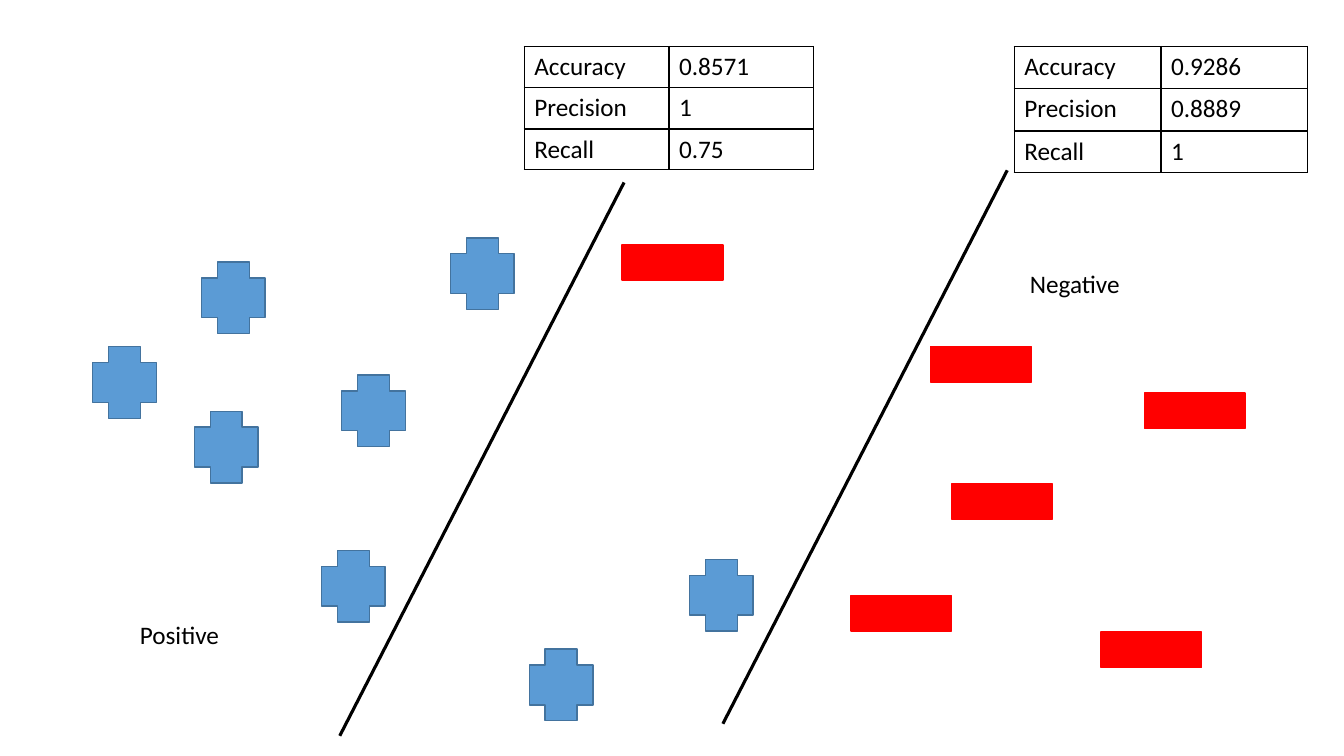
from lxml import etree
from pptx import Presentation
from pptx import util as u
from pptx.dml.color import RGBColor
from pptx.enum import shapes, text
from pptx.oxml import ns

PLUS_SIZE = (0.63, 0.71)
MINUS_SIZE = (1, 0.35)
LABEL_SIZE = (3, 0.4)
BOUNDARY_SIZE = (2.82, 5.49)
POSITIVES = [(2, 2.6), (6.84, 5.55), (3.19, 5.46), (3.39, 3.72),
             (1.93, 4.08), (0.92, 3.44), (4.47, 2.36), (5.25, 6.44)]
NEGATIVES = [(8.44, 5.91), (9.23, 3.44), (11.35, 3.9),
             (9.44, 4.8), (6.17, 2.43), (10.92, 6.27)]
BOUNDARIES = [(3.37, 1.81), (7.17, 1.69)]
LABELS = [("Positive", (0.28, 6.09)), ("Negative", (9.16, 2.61))]
METRICS = ("Accuracy", "Precision", "Recall")
SCORES = [
    (("0.9286", "0.8889", "1"), (10.06, 0.46, 2.91), (0.42, 0.42, 0.41)),
    (("0.8571", "1", "0.75"), (5.2, 0.46, 2.87), (0.41, 0.41, 0.39)),
]


def color(value):
    """Return the colour for a hex string."""
    return RGBColor.from_string(value)


def inches(*lengths):
    """Convert several lengths to inches."""
    return [u.Inches(length) for length in lengths]


def style_text(paragraph):
    """Apply the slide's text style."""
    paragraph.font.name = "Calibri"
    paragraph.font.size = u.Pt(18)
    paragraph.font.color.rgb = color("000000")


def add_markers(slide, preset, size, positions, fill, line):
    """Place one data point shape at each position."""
    for position in positions:
        shape = slide.shapes.add_shape(preset, *inches(*position, *size))
        shape.shadow.inherit = False
        shape.fill.solid()
        shape.fill.fore_color.rgb = color(fill)
        shape.line.color.rgb = color(line)
        shape.line.width = u.Pt(1)


def add_boundary(slide, left, top):
    """Draw a decision boundary rising across its box."""
    width, height = BOUNDARY_SIZE
    boundary = slide.shapes.add_connector(
        shapes.MSO_CONNECTOR.STRAIGHT,
        *inches(left, top + height, left + width, top))
    boundary.line.color.rgb = color("000000")
    boundary.line.width = u.Pt(2.25)
    etree.SubElement(boundary._element.spPr, ns.qn("a:effectLst"))


def add_label(slide, wording, position):
    """Add a centred class label."""
    label = slide.shapes.add_textbox(*inches(*position, *LABEL_SIZE))
    label.text_frame.word_wrap = True
    label.text_frame.auto_size = text.MSO_AUTO_SIZE.SHAPE_TO_FIT_TEXT
    paragraph = label.text_frame.paragraphs[0]
    paragraph.text = wording
    paragraph.alignment = text.PP_ALIGN.CENTER
    style_text(paragraph)


def add_borders(cell):
    """Draw thin black borders on all sides of a cell."""
    properties = cell._tc.get_or_add_tcPr()
    for side in ("lnL", "lnR", "lnT", "lnB"):
        border = etree.SubElement(properties, ns.qn(f"a:{side}"), w=str(u.Pt(1)))
        fill = etree.SubElement(border, ns.qn("a:solidFill"))
        etree.SubElement(fill, ns.qn("a:srgbClr"), val="000000")


def add_scores(slide, values, box, row_heights):
    """Add a table of metrics and their values."""
    left, top, width = box
    frame = slide.shapes.add_table(
        len(METRICS), 2, *inches(left, top, width, sum(row_heights)))
    table = frame.table
    table.first_row = False
    table.horz_banding = False
    for row, height, entries in zip(table.rows, row_heights, zip(METRICS, values)):
        row.height = u.Inches(height)
        for cell, entry in zip(row.cells, entries):
            add_borders(cell)
            cell.fill.solid()
            cell.fill.fore_color.rgb = color("FFFFFF")
            cell.text = entry
            style_text(cell.text_frame.paragraphs[0])


def main():
    """Build and save the classifier comparison slide."""
    presentation = Presentation()
    presentation.slide_width, presentation.slide_height = inches(13.33, 7.5)
    slide = presentation.slides.add_slide(presentation.slide_layouts[6])
    add_markers(slide, shapes.MSO_SHAPE.CROSS, PLUS_SIZE, POSITIVES, "5B9BD5", "43739E")
    add_markers(slide, shapes.MSO_SHAPE.RECTANGLE, MINUS_SIZE, NEGATIVES, "FF0000", "FF0000")
    for position in BOUNDARIES:
        add_boundary(slide, *position)
    for wording, position in LABELS:
        add_label(slide, wording, position)
    for values, box, row_heights in SCORES:
        add_scores(slide, values, box, row_heights)
    presentation.save("out.pptx")


if __name__ == "__main__":
    main()
